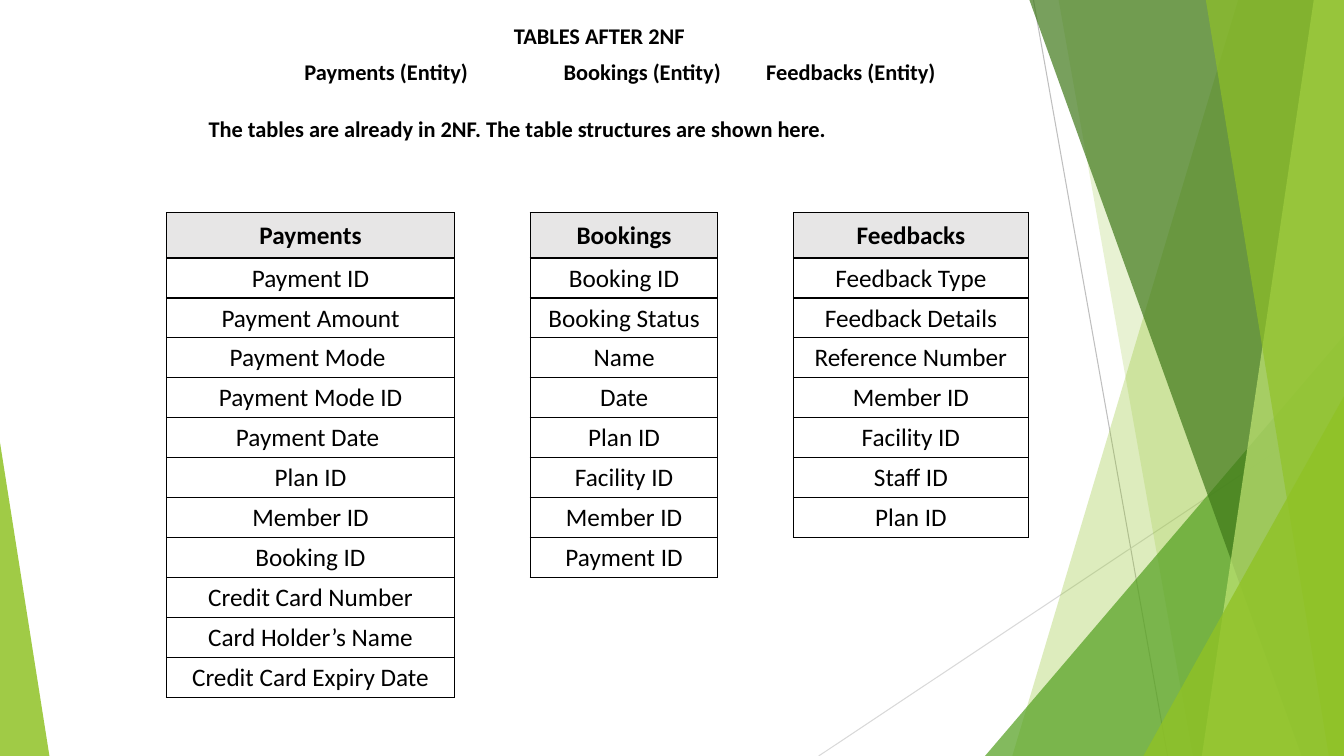
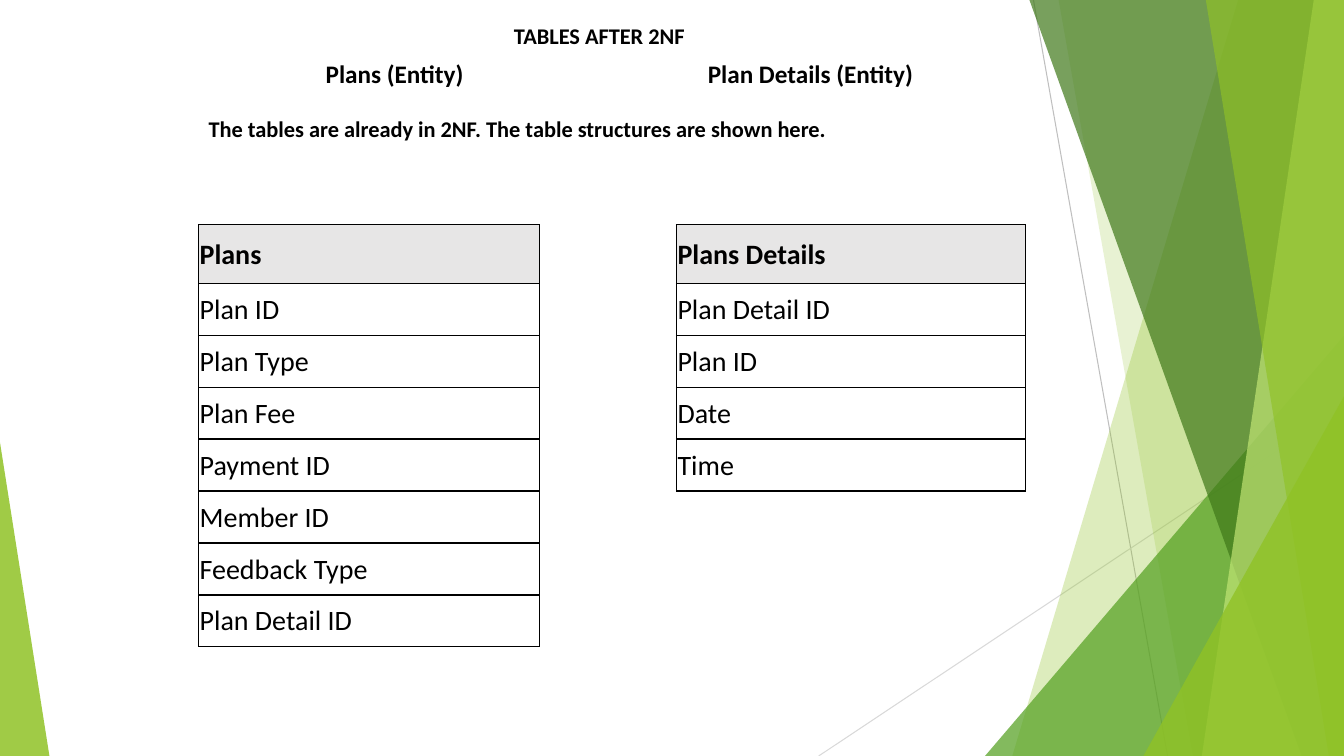
from itertools import zip_longest

from lxml import etree
from pptx import Presentation
from pptx.dml.color import RGBColor
from pptx.enum.shapes import MSO_CONNECTOR, MSO_SHAPE
from pptx.enum.text import MSO_ANCHOR, MSO_AUTO_SIZE, PP_ALIGN
from pptx.oxml.ns import qn
from pptx.util import Inches, Pt

LEFT, CENTER = PP_ALIGN.LEFT, PP_ALIGN.CENTER
TOP, MIDDLE = MSO_ANCHOR.TOP, MSO_ANCHOR.MIDDLE
TRIANGLE, STRAIGHT = MSO_SHAPE.ISOSCELES_TRIANGLE, MSO_CONNECTOR.STRAIGHT

WIDE, HIGH = 13.33, 7.5
FONT, BLACK, GREY = "Calibri", "000000", "E7E6E6"
LIME, GREEN, DARK, PALE = "90C226", "54A021", "3F7819", "C0E474"
NO_GRID = "{2D5ABB26-0587-4C30-8999-92F81FD0307C}"

TITLE = "TABLES AFTER 2NF"
NOTE = "The tables are already in 2NF. The table structures are shown here."
NAMES_AT, NAMES_WIDE = (2.43, 0.58), 7.44

# Lines: start, end, colour
LINES = [
    ((10.25, 0), (11.58, HIGH), "BFBFBF"),
    ((WIDE, 4.03), (8.12, HIGH), "D9D9D9"),
]
# Bands reach the right edge: x at the top, x at the bottom, colour, opacity
# Corners stand on the bottom edge: left, top, width, apex, colour, opacity
DECOR = [
    ("band", (12.28, 10.04, LIME, 30)),
    ("band", (10.5, 11.83, LIME, 20)),
    ("corner", (9.77, 3.33, 3.56, 1, GREEN, 72)),
    ("band", (10.21, 12.91, DARK, 70)),
    ("band", (13.03, 11.92, PALE, 70)),
    ("band", (11.96, 13.18, LIME, 65)),
    ("corner", (11.34, 3.93, 1.99, 1, LIME, 80)),
    ("corner", (0, 4.39, 0.49, 0, LIME, 85)),
]

SLIDES = [
    {
        "names": ["Payments (Entity)", "Bookings (Entity)", "Feedbacks (Entity)"],
        "starts": [3.02, 5.59, 7.6], "name_size": 16, "name_row": 0.28,
        "lists": [
            ["Payments", "Payment ID", "Payment Amount", "Payment Mode ",
             "Payment Mode ID", "Payment Date ", "Plan ID", "Member ID",
             "Booking ID", "Credit Card Number", "Card Holder’s Name",
             "Credit Card Expiry Date"],
            ["Bookings", "Booking ID", "Booking Status", "Name", "Date",
             "Plan ID", "Facility ID", "Member ID", "Payment ID"],
            ["Feedbacks", "Feedback Type", "Feedback Details",
             "Reference Number", "Member ID", "Facility ID", "Staff ID",
             "Plan ID"],
        ],
        "at": (1.65, 2.11), "widths": [2.86, 1.86, 2.33], "gap": 0.75,
        "head": 0.45, "tall": 4.81, "size": 18, "align": CENTER,
    },
    {
        "names": ["Plans (Entity)", "Plan Details (Entity)"],
        "starts": [3.23, 7.02], "name_size": 18, "name_row": 0.32,
        "lists": [
            ["Plans", "Plan ID", "Plan Type", "Plan Fee", "Payment ID",
             "Member ID", "Feedback Type", "Plan Detail ID"],
            ["Plans Details", "Plan Detail ID", "Plan ID", "Date", "Time"],
        ],
        "at": (1.97, 2.23), "widths": [3.38, 3.46], "gap": 1.36,
        "head": 0.58, "tall": 4.19, "size": 20, "align": LEFT,
    },
]


def rgb(code):
    return RGBColor.from_string(code)


def put(frame, text, size=16, bold=True, align=LEFT, spaced=False, tabs=()):
    """Write one formatted paragraph into a text frame."""
    para = frame.paragraphs[0]
    para.alignment = align
    if spaced:
        para.line_spacing, para.space_after = 1.07, Pt(8)
    if tabs:
        stops = etree.SubElement(para._p.get_or_add_pPr(), qn("a:tabLst"))
        for stop in tabs:
            etree.SubElement(stops, qn("a:tab"), pos=str(Inches(stop)),
                             algn="l")
    run = para.add_run()
    run.text = text
    font = run.font
    font.name, font.size, font.bold = FONT, Pt(size), bold
    font.color.rgb = rgb(BLACK)


def tint(shape, code, alpha):
    """Fill a shape with a see-through colour, without line or shadow."""
    shape.shadow.inherit = False
    shape.line.fill.background()
    shape.fill.solid()
    shape.fill.fore_color.rgb = rgb(code)
    color = shape.element.spPr.find(".//" + qn("a:srgbClr"))
    etree.SubElement(color, qn("a:alpha"), val=str(alpha * 1000))


def band(shapes, top, foot, code, alpha):
    points = [(WIDE, 0), (WIDE, HIGH), (foot, HIGH)]
    pen = shapes.build_freeform(Inches(top), 0)
    pen.add_line_segments([(Inches(x), Inches(y)) for x, y in points])
    tint(pen.convert_to_shape(), code, alpha)


def corner(shapes, left, top, width, apex, code, alpha):
    box = [Inches(v) for v in (left, top, width, HIGH - top)]
    shape = shapes.add_shape(TRIANGLE, *box)
    shape.adjustments[0] = apex
    tint(shape, code, alpha)


def dress(layout, slide):
    """Build the shared backdrop as a group and hand it to the layout."""
    group = slide.shapes.add_group_shape()
    for start, end, code in LINES:
        ends = [Inches(v) for v in start + end]
        line = group.shapes.add_connector(STRAIGHT, *ends)
        line.line.color.rgb, line.line.width = rgb(code), Pt(0.75)
        etree.SubElement(line.element.spPr, qn("a:effectLst"))
    draw = {"band": band, "corner": corner}
    for kind, args in DECOR:
        draw[kind](group.shapes, *args)
    layout.shapes.element.insert(2, group.element)


def set_up(layout):
    """Keep only the layout's title, and place it."""
    for holder in list(layout.placeholders):
        if holder.placeholder_format.idx:
            holder.element.getparent().remove(holder.element)
    title = layout.placeholders[0]
    title.left, title.top = Inches(4.54), Inches(0.15)
    title.width, title.height = Inches(2.81), Inches(0.56)
    title.text_frame.vertical_anchor = TOP
    title.text_frame.auto_size = MSO_AUTO_SIZE.NONE


def grid(slide, at, widths, heights):
    """Add a plain table with tight, unfilled cells."""
    size = [Inches(v) for v in (*at, sum(widths), sum(heights))]
    frame = slide.shapes.add_table(len(heights), len(widths), *size)
    table = frame.table
    table.first_row = table.horz_banding = False
    frame.element.find(".//" + qn("a:tableStyleId")).text = NO_GRID
    for col, width in zip(table.columns, widths):
        col.width = Inches(width)
    for row, height in zip(table.rows, heights):
        row.height = Inches(height)
    for cell in table.iter_cells():
        cell.margin_left = cell.margin_right = cell.margin_top = Inches(0.01)
        cell.margin_bottom = 0
        cell.vertical_anchor = MIDDLE
        cell.fill.background()
    return table


def edge(cell, sides):
    """Draw a black line on each side whose flag is set."""
    props = cell._tc.get_or_add_tcPr()
    for spot, (side, on) in enumerate(sides.items()):
        line = etree.Element(qn("a:ln" + side), w=str(Pt(1)))
        if on:
            fill = etree.SubElement(line, qn("a:solidFill"))
            etree.SubElement(fill, qn("a:srgbClr"), val=BLACK)
        else:
            etree.SubElement(line, qn("a:noFill"))
        props.insert(spot, line)


def add_names(slide, data):
    """Line up the entity names on tab stops in the top row."""
    first, *rest = data["starts"]
    table = grid(slide, NAMES_AT, [NAMES_WIDE], [data["name_row"]] * 3)
    cell = table.cell(0, 0)
    cell.margin_left = Inches(first - NAMES_AT[0])
    put(cell.text_frame, "\t".join(data["names"]), size=data["name_size"],
        tabs=[start - first for start in rest])


def add_lists(slide, data):
    """Set the lists side by side in one table, with open columns between."""
    cols, widths = [], []
    for items, width in zip(data["lists"], data["widths"]):
        cols += [items, []]
        widths += [width, data["gap"]]
    cols, widths = cols[:-1], widths[:-1]
    rows = list(zip_longest(*cols, fillvalue=""))
    count = len(rows) - 1
    heights = [data["head"]] + [(data["tall"] - data["head"]) / count] * count
    table = grid(slide, data["at"], widths, heights)
    full = {(r, c) for r, row in enumerate(rows)
            for c, text in enumerate(row) if text}
    for r, row in enumerate(rows):
        for c, text in enumerate(row):
            cell = table.cell(r, c)
            if text:
                put(cell.text_frame, text, size=data["size"], bold=r == 0,
                    align=data["align"])
                if r == 0:
                    cell.fill.solid()
                    cell.fill.fore_color.rgb = rgb(GREY)
            near = {"L": (r, c - 1), "R": (r, c + 1),
                    "T": (r - 1, c), "B": (r + 1, c)}
            edge(cell, {k: bool(text) or spot in full
                        for k, spot in near.items()})


def main():
    prs = Presentation()
    prs.slide_width, prs.slide_height = Inches(WIDE), Inches(HIGH)
    layout = prs.slide_layouts[5]
    set_up(layout)
    for number, data in enumerate(SLIDES):
        slide = prs.slides.add_slide(layout)
        if number == 0:
            dress(layout, slide)
        put(slide.shapes.title.text_frame, TITLE, align=CENTER, spaced=True)
        add_names(slide, data)
        box = [Inches(v) for v in (1.97, 1.07, 7.95, 0.38)]
        note = slide.shapes.add_textbox(*box).text_frame
        note.word_wrap = True
        put(note, NOTE, spaced=True)
        add_lists(slide, data)
    prs.save("out.pptx")


if __name__ == "__main__":
    main()
